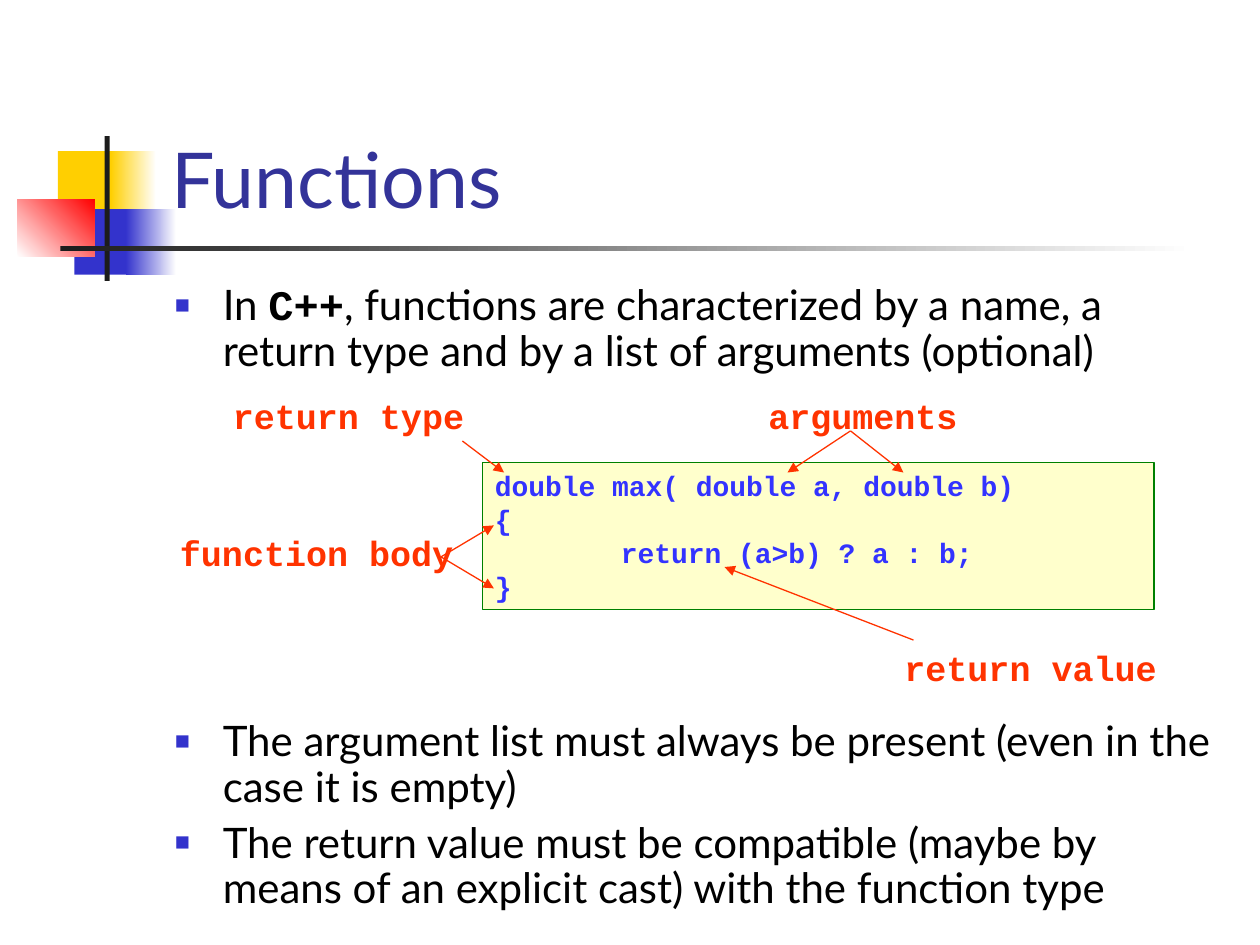
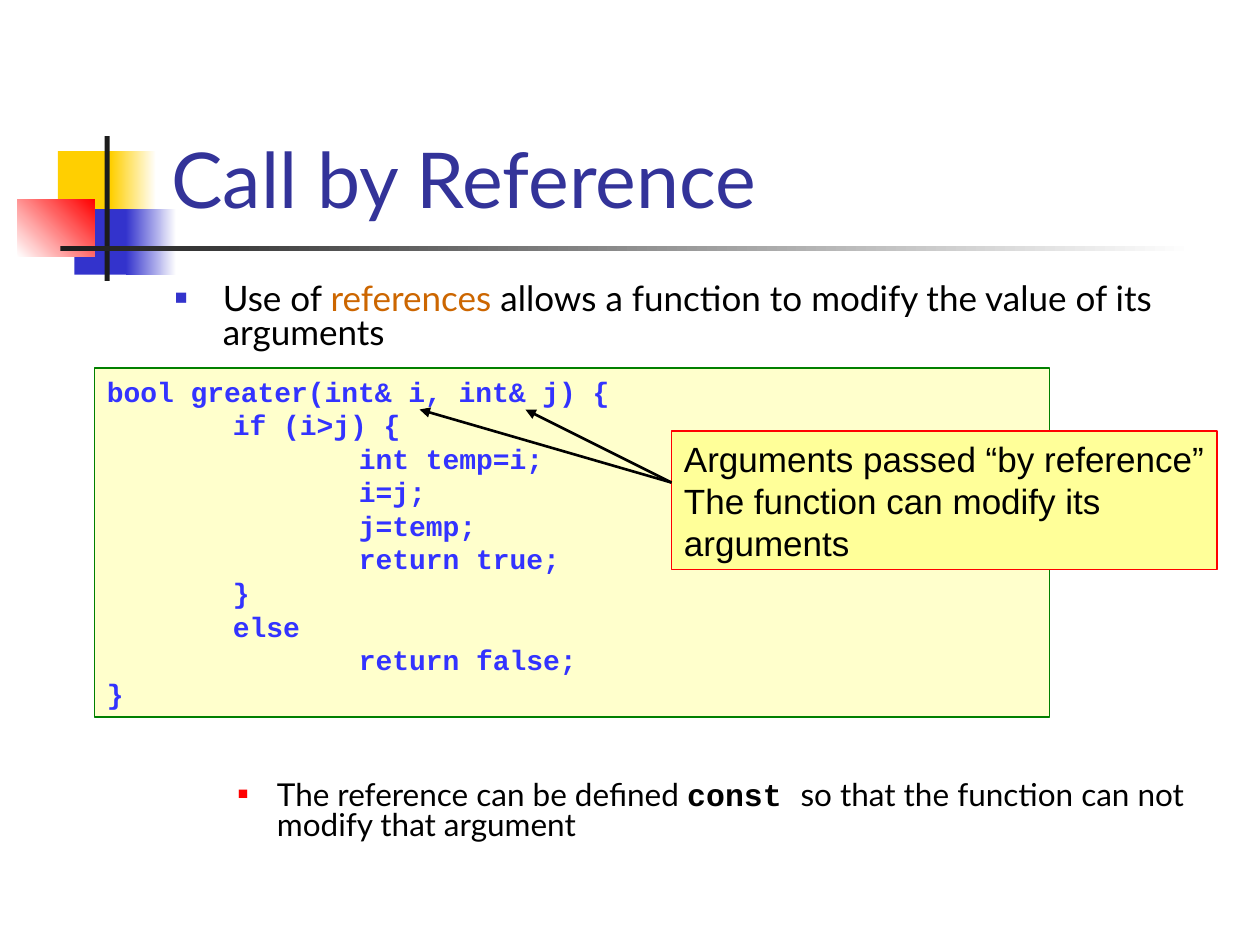
from lxml import etree
from pptx import Presentation
from pptx.dml.color import RGBColor
from pptx.enum.shapes import MSO_CONNECTOR, MSO_SHAPE
from pptx.enum.text import MSO_ANCHOR, PP_ALIGN
from pptx.oxml.ns import qn
from pptx.util import Inches, Pt

RECTANGLE, STRAIGHT = MSO_SHAPE.RECTANGLE, MSO_CONNECTOR.STRAIGHT
TOP, BOTTOM = MSO_ANCHOR.TOP, MSO_ANCHOR.BOTTOM
LEFT = PP_ALIGN.LEFT

# Colours
WHITE = RGBColor(0xFF, 0xFF, 0xFF)
BLACK = RGBColor(0x00, 0x00, 0x00)
YELLOW = RGBColor(0xFF, 0xCF, 0x01)
BLUE = RGBColor(0x33, 0x33, 0xCC)
RED = RGBColor(0xFF, 0x00, 0x00)
CHARCOAL = RGBColor(0x1C, 0x1C, 0x1C)
TITLE_BLUE = RGBColor(0x33, 0x33, 0x99)
CODE_BLUE = RGBColor(0x33, 0x33, 0xFF)
CODE_FILL = RGBColor(0xFF, 0xFF, 0xCC)
CODE_BORDER = RGBColor(0x00, 0x80, 0x00)
CALLOUT_FILL = RGBColor(0xFF, 0xFF, 0x99)
LABEL_RED = RGBColor(0xFF, 0x33, 0x00)
TERM_ORANGE = RGBColor(0xCC, 0x66, 0x00)

# Text formats
TITLE = {"name": "Lato", "size": Pt(44), "color": TITLE_BLUE}
BODY = {"name": "Lato", "color": BLACK}
KEYWORD = {"name": "Courier New", "bold": True}
TERM = {"color": TERM_ORANGE}
CODE = {"name": "Courier New", "size": Pt(16), "bold": True, "color": CODE_BLUE}
LABEL = {"name": "Courier New", "size": Pt(20), "bold": True, "color": LABEL_RED}
CALLOUT = {"name": "Arial", "size": Pt(20), "color": BLACK}

# Bullet styles: indents in inches, sizes in points, bullet size in percent
MAIN = {"margin": 0.38, "hanging": 0.38, "size": 24, "spacing": 0.9,
        "before": 6, "bullet": BLUE, "percent": 60}
MAIN_SMALL = {**MAIN, "size": 20, "spacing": 0.8, "before": 5}
SUB = {"margin": 0.81, "hanging": 0.31, "size": 18, "spacing": 0.8,
       "before": 4.5, "bullet": RED, "percent": 55}

# Title ornament: box, start colour, end colour, gradient angle
ORNAMENT = [
    ((0.46, 1.2, 0.48, 0.52), YELLOW, None, 0),
    ((0.88, 1.2, 0.36, 0.52), YELLOW, WHITE, 0),
    ((0.59, 1.66, 0.46, 0.52), BLUE, None, 0),
    ((1, 1.66, 0.4, 0.52), BLUE, WHITE, 0),
    ((0.14, 1.58, 0.61, 0.46), WHITE, RED, 45),
    ((0.83, 1.08, 0.04, 1.15), CHARCOAL, None, 0),
    ((0.48, 1.95, 9, 0.04), CHARCOAL, WHITE, 0),
]
TITLE_BOX = (1.26, 0.23, 8.52, 1.6)
BODY_LEFT, BODY_TOP, BODY_WIDTH = 1.29, 2.21, 8.5
TAB_WIDTH = 1

# Slide content: bullets are (top, height, style, paragraphs of (text, format))
SLIDES = [
    {
        "title": "Functions",
        "bullets": [
            (BODY_TOP, 0.85, MAIN, [[
                ("In ", {}), ("C++", KEYWORD),
                (", functions are characterized by a name, a return type "
                 "and by a list of arguments (optional)", {})]]),
            (5.67, 1.65, MAIN, [
                [("The argument list must always be present "
                  "(even in the case it is empty)", {})],
                [("The return value must be compatible (maybe by means of "
                  "an explicit cast) with the function type", {})]]),
        ],
        "panels": [
            ((3.83, 3.67, 5.33, 1.17), CODE_FILL, CODE_BORDER, CODE, [
                "double max( double a, double b)",
                "{",
                "\treturn (a>b) ? a : b;",
                "}"]),
        ],
        "labels": [
            ((7.08, 5.08, 2.3, 0.44), "return value"),
            ((1.75, 3.08, 2.1, 0.44), "return type"),
            ((6, 3.08, 1.8, 0.44), "arguments"),
            ((1.33, 4.17, 2.45, 0.44), "function body"),
        ],
        "arrows": (LABEL_RED, 0.75, [
            ((3.67, 3.5), [(4, 3.75)]),
            ((6.75, 3.42), [(6.25, 3.75), (7.17, 3.75)]),
            ((3.5, 4.42), [(3.92, 4.17), (3.92, 4.67)]),
            ((7.25, 5.08), [(5.75, 4.5)]),
        ]),
    },
    {
        "title": "Call by Reference",
        "bullets": [
            (BODY_TOP, 0.7, MAIN_SMALL, [[
                ("Use of ", {}), ("references ", TERM),
                ("allows a function to modify the value of its arguments", {})]]),
            (6.16, 0.65, SUB, [[
                ("The reference can be defined ", {}), ("const ", KEYWORD),
                ("so that the function can not modify that argument", {})]]),
        ],
        "panels": [
            ((0.75, 2.92, 7.58, 2.77), CODE_FILL, CODE_BORDER, CODE, [
                "bool greater(int& i, int& j) {",
                "\tif (i>j) {",
                "\t\tint temp=i;",
                "\t\ti=j;",
                "\t\tj=temp;",
                "\t\treturn true;",
                "\t}",
                "\telse",
                "\t\treturn false;",
                "}"]),
            ((5.33, 3.42, 4.33, 1.1), CALLOUT_FILL, RED, CALLOUT, [
                "Arguments passed “by reference”",
                "The function can modify its",
                "arguments"]),
        ],
        "labels": [],
        "arrows": (BLACK, 1.5, [((5.33, 3.83), [(3.33, 3.25), (4.17, 3.25)])]),
    },
]


def inches(values):
    return [Inches(value) for value in values]


def add_run(paragraph, text, text_format):
    run = paragraph.add_run()
    run.text = text
    for attribute, value in text_format.items():
        if attribute == "color":
            run.font.color.rgb = value
        else:
            setattr(run.font, attribute, value)


def add_rectangle(slide, box):
    shape = slide.shapes.add_shape(RECTANGLE, *inches(box))
    shape.shadow.inherit = False
    return shape


def new_paragraphs(frame, items):
    """Yield one paragraph of the frame for each item."""
    for index, item in enumerate(items):
        yield (frame.add_paragraph() if index else frame.paragraphs[0]), item


def set_tabs(paragraph, count):
    """Give the paragraph evenly spaced tab stops."""
    tabs = etree.SubElement(paragraph._p.get_or_add_pPr(), qn("a:tabLst"))
    for number in range(1, count + 1):
        etree.SubElement(tabs, qn("a:tab"), pos=str(Inches(number * TAB_WIDTH)), algn="l")


def write_lines(frame, lines, text_format):
    frame.word_wrap = False
    frame.vertical_anchor = TOP
    for paragraph, line in new_paragraphs(frame, lines):
        paragraph.alignment = LEFT
        if "\t" in line:
            set_tabs(paragraph, line.count("\t"))
        add_run(paragraph, line, text_format)


def add_ornament(slide, layout):
    """Draw the title ornament and move it to the shared layout."""
    for number, (box, start, end, angle) in enumerate(ORNAMENT):
        shape = add_rectangle(slide, box)
        shape.line.fill.background()
        if end is None:
            shape.fill.solid()
            shape.fill.fore_color.rgb = start
        else:
            shape.fill.gradient()
            shape.fill.gradient_angle = angle
            for stop, color in zip(shape.fill.gradient_stops, (start, end)):
                stop.color.rgb = color
        shape.element.nvSpPr.cNvPr.id = 100 + number
        layout.shapes.element.append(shape.element)


def set_title(slide, text):
    title = slide.shapes.title
    title.left, title.top, title.width, title.height = inches(TITLE_BOX)
    frame = title.text_frame
    frame.vertical_anchor = BOTTOM
    paragraph = frame.paragraphs[0]
    paragraph.alignment = LEFT
    add_run(paragraph, text, TITLE)


def set_bullet(paragraph, style):
    paragraph.line_spacing = style["spacing"]
    paragraph.space_before = Pt(style["before"])
    properties = paragraph._p.get_or_add_pPr()
    properties.set("marL", str(Inches(style["margin"])))
    properties.set("indent", str(-Inches(style["hanging"])))
    color = etree.SubElement(properties, qn("a:buClr"))
    etree.SubElement(color, qn("a:srgbClr"), val=str(style["bullet"]))
    etree.SubElement(properties, qn("a:buSzPct"), val=str(style["percent"] * 1000))
    etree.SubElement(properties, qn("a:buFont"), typeface="Arial")
    etree.SubElement(properties, qn("a:buChar"), char="■")


def add_bullets(slide, top, height, style, paragraphs):
    box = slide.shapes.add_textbox(*inches((BODY_LEFT, top, BODY_WIDTH, height)))
    box.text_frame.word_wrap = True
    for paragraph, runs in new_paragraphs(box.text_frame, paragraphs):
        set_bullet(paragraph, style)
        for text, text_format in runs:
            add_run(paragraph, text, {**BODY, "size": Pt(style["size"]), **text_format})


def add_panel(slide, box, fill, border, text_format, lines):
    shape = add_rectangle(slide, box)
    shape.fill.solid()
    shape.fill.fore_color.rgb = fill
    shape.line.color.rgb = border
    shape.line.width = Pt(0.75)
    write_lines(shape.text_frame, lines, text_format)
    shape.text_frame.word_wrap = True


def add_label(slide, box, text):
    label = slide.shapes.add_textbox(*inches(box))
    write_lines(label.text_frame, [text], LABEL)
    label.text_frame.word_wrap = True


def add_arrow(slide, start, end, color, width):
    arrow = slide.shapes.add_connector(STRAIGHT, *inches(start + end))
    arrow.line.color.rgb = color
    arrow.line.width = Pt(width)
    etree.SubElement(arrow.get_or_add_ln(), qn("a:tailEnd"), type="triangle")
    etree.SubElement(arrow.element.spPr, qn("a:effectLst"))


def main():
    presentation = Presentation()
    presentation.slide_width, presentation.slide_height = inches((10, 7.5))
    layout = presentation.slide_layouts[5]

    for index, content in enumerate(SLIDES):
        slide = presentation.slides.add_slide(layout)
        if index == 0:
            add_ornament(slide, layout)
        set_title(slide, content["title"])
        for bullets in content["bullets"]:
            add_bullets(slide, *bullets)
        for panel in content["panels"]:
            add_panel(slide, *panel)
        for box, text in content["labels"]:
            add_label(slide, box, text)
        color, width, fans = content["arrows"]
        for start, ends in fans:
            for end in ends:
                add_arrow(slide, start, end, color, width)

    presentation.save("out.pptx")


if __name__ == "__main__":
    main()
